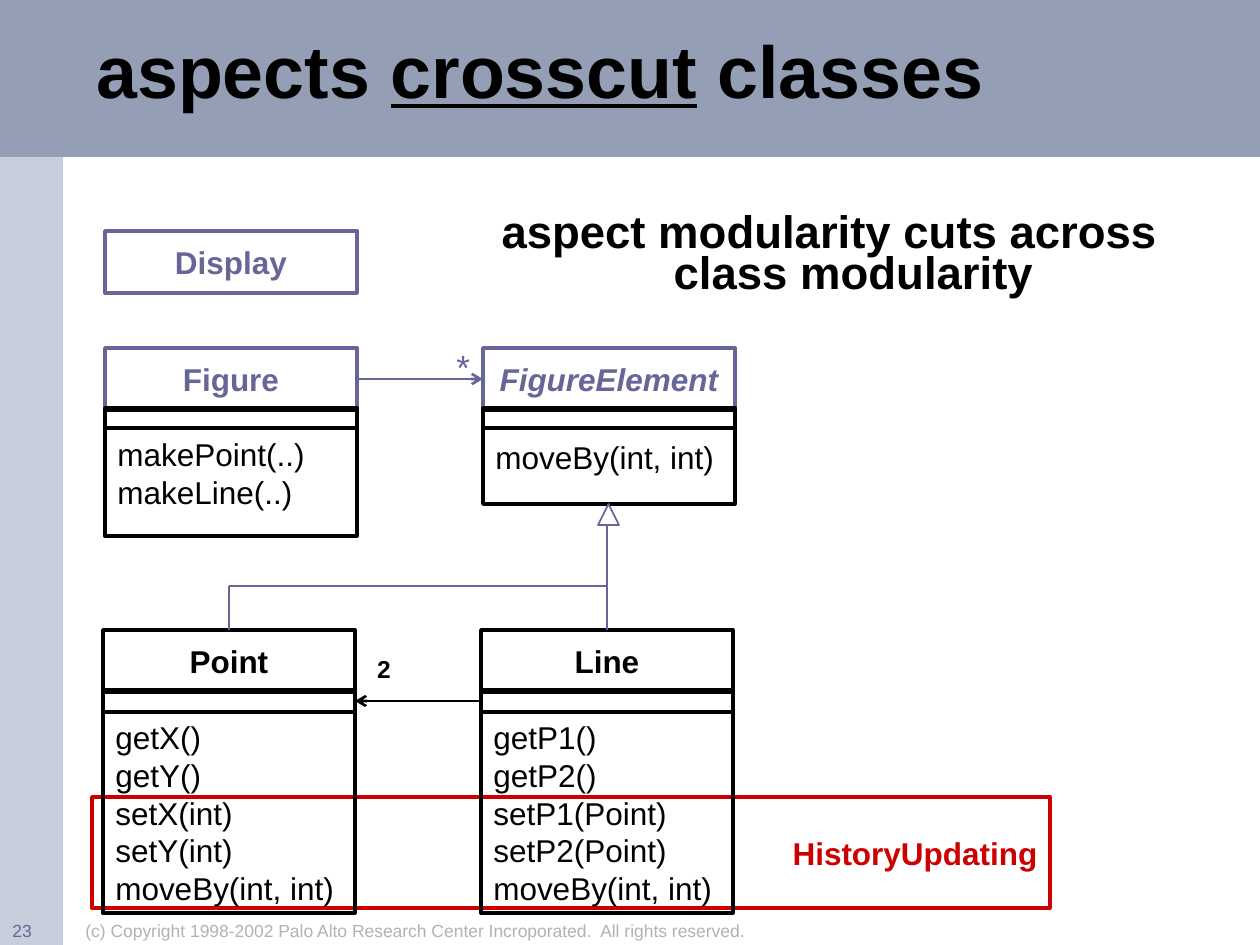
from pptx import Presentation
from pptx.dml.color import RGBColor
from pptx.enum.shapes import MSO_CONNECTOR as Link, MSO_SHAPE as Shape
from pptx.enum.text import MSO_ANCHOR as Anchor, PP_ALIGN as Align
from pptx.oxml.ns import qn
from pptx.util import Pt
from lxml.etree import SubElement

SCALE = 914400 / 126
BLACK = RGBColor(0x00, 0x00, 0x00)
WHITE = RGBColor(0xFF, 0xFF, 0xFF)
RED = RGBColor(0xCC, 0x00, 0x00)
VIOLET = RGBColor(0x66, 0x66, 0x99)
GREY = RGBColor(0xB2, 0xB2, 0xB2)
BAND = RGBColor(0x94, 0x9F, 0xB6)
STRIP = RGBColor(0xC8, 0xCE, 0xDC)
TOP, LEFT, BOTTOM, RIGHT = range(4)
WIDTH, HEAD = 252, 62  # class box


def px(*nums):
    return [round(n * SCALE) for n in nums]


def style(par, size, color, bold=False, italic=False, align=Align.LEFT):
    par.alignment = align
    font = par.font
    font.name, font.size, font.bold, font.italic = "Arial", Pt(size), bold, italic
    font.color.rgb = color


def write(slide, at, text, size, color, **look):
    frame = slide.shapes.add_textbox(*px(*at)).text_frame
    frame.word_wrap = True
    par = frame.paragraphs[0]
    par.text = text
    style(par, size, color, **look)
    return frame


def shape(slide, kind, at, fill=None, line=None, weight=2):
    item = slide.shapes.add_shape(kind, *px(*at))
    item.shadow.inherit = False
    if fill is None:
        item.fill.background()
    else:
        item.fill.solid()
        item.fill.fore_color.rgb = fill
    if line is None:
        item.line.fill.background()
    else:
        item.line.color.rgb = line
        item.line.width = Pt(weight)
    return item


def box(slide, at, line, text="", **look):
    item = shape(slide, Shape.RECTANGLE, at, line=line)
    if text:
        frame = item.text_frame
        frame.word_wrap = True
        frame.vertical_anchor = Anchor.MIDDLE
        par = frame.paragraphs[0]
        par.text = text
        style(par, 18, line, **look)
    return item


def card(slide, x, y, name, calls, bar_h, gap, body_h, color, italic=False):
    """Class box: name, empty field bar, methods."""
    head = box(slide, (x, y, WIDTH, HEAD), color, name,
               bold=True, italic=italic, align=Align.CENTER)
    box(slide, (x, y + HEAD + gap, WIDTH, body_h), BLACK, "\n".join(calls))
    bar = box(slide, (x, y + 60, WIDTH, bar_h), BLACK)
    return head, bar


def link(slide, start, end, color, arrow=False, begin=None, finish=None):
    """Straight line; begin and finish are (shape, side) joints."""
    wire = slide.shapes.add_connector(Link.STRAIGHT, *px(*start, *end))
    if begin:
        wire.begin_connect(*begin)
    if finish:
        wire.end_connect(*finish)
    wire.line.color.rgb = color
    wire.line.width = Pt(1.5)
    if arrow:
        SubElement(wire.line._get_or_add_ln(), qn("a:tailEnd"), type="arrow")
    SubElement(wire._element.spPr, qn("a:effectLst"))


def title(slide):
    frame = write(slide, (84, 10, 1113, 132), "", 42, BLACK, bold=True)
    frame.vertical_anchor = Anchor.MIDDLE
    par = frame.paragraphs[0]
    par.line_spacing = 0.85
    for text, under in (("aspects ", False), ("crosscut", True), (" classes", False)):
        run = par.add_run()
        run.text = text
        run.font.underline = under


def claim(slide):
    frame = write(slide, (441, 210, 777, 105),
                  "aspect modularity cuts across class modularity",
                  26, BLACK, bold=True, align=Align.CENTER)
    par = frame.paragraphs[0]
    par.line_spacing = 0.75
    props = par._p.get_or_add_pPr()
    hang = px(48)[0]
    props.set("marL", str(hang))
    props.set("indent", str(-hang))


def main():
    deck = Presentation()
    deck.slide_width, deck.slide_height = px(1260, 945)
    slide = deck.slides.add_slide(deck.slide_layouts[6])

    # Background bands
    shape(slide, Shape.RECTANGLE, (0, 0, 63, 945), STRIP)
    shape(slide, Shape.RECTANGLE, (0, 0, 1260, 157), BAND)

    # Headings
    title(slide)
    claim(slide)

    # Aspect cutting across the classes
    box(slide, (92, 797, 958, 111), RED, "HistoryUpdating",
        bold=True, align=Align.RIGHT)

    # Classes
    box(slide, (105, 231, WIDTH, HEAD), VIOLET, "Display",
        bold=True, align=Align.CENTER)
    figure, _ = card(slide, 105, 348, "Figure", ["makePoint(..)", "makeLine(..)"],
                     20, 0, 126, VIOLET)
    element, _ = card(slide, 483, 348, "FigureElement", ["moveBy(int, int)"],
                      20, 0, 94, VIOLET, italic=True)
    point, point_bar = card(
        slide, 103, 630, "Point",
        ["getX()", "getY()", "setX(int)", "setY(int)", "moveBy(int, int)"],
        22, 20, 201, BLACK)
    line, line_bar = card(
        slide, 481, 630, "Line",
        ["getP1()", "getP2()", "setP1(Point)", "setP2(Point)", "moveBy(int, int)"],
        22, 20, 201, BLACK)

    # Associations
    link(slide, (357, 379), (483, 379), VIOLET, True,
         (figure, RIGHT), (element, LEFT))
    write(slide, (444, 339, 32, 55), "*", 20, VIOLET, align=Align.CENTER)
    link(slide, (481, 701), (355, 701), BLACK, True,
         (line_bar, LEFT), (point_bar, RIGHT))
    write(slide, (363, 648, 42, 43), "2", 14, BLACK, bold=True, align=Align.CENTER)

    # Inheritance
    link(slide, (229, 630), (229, 586), VIOLET, begin=(point, TOP))
    link(slide, (607, 630), (607, 586), VIOLET, begin=(line, TOP))
    link(slide, (229, 586), (607, 586), VIOLET)
    link(slide, (607, 586), (607, 523), VIOLET)
    shape(slide, Shape.ISOSCELES_TRIANGLE, (598, 504, 21, 21), WHITE, VIOLET, 1)

    # Footer
    write(slide, (73, 914, 703, 31),
          "(c) Copyright 1998-2002 Palo Alto Research Center Incroporated.  "
          "All rights reserved.", 10, GREY)
    write(slide, (0, 914, 63, 31), "23", 10, VIOLET)

    deck.save("out.pptx")


if __name__ == "__main__":
    main()
